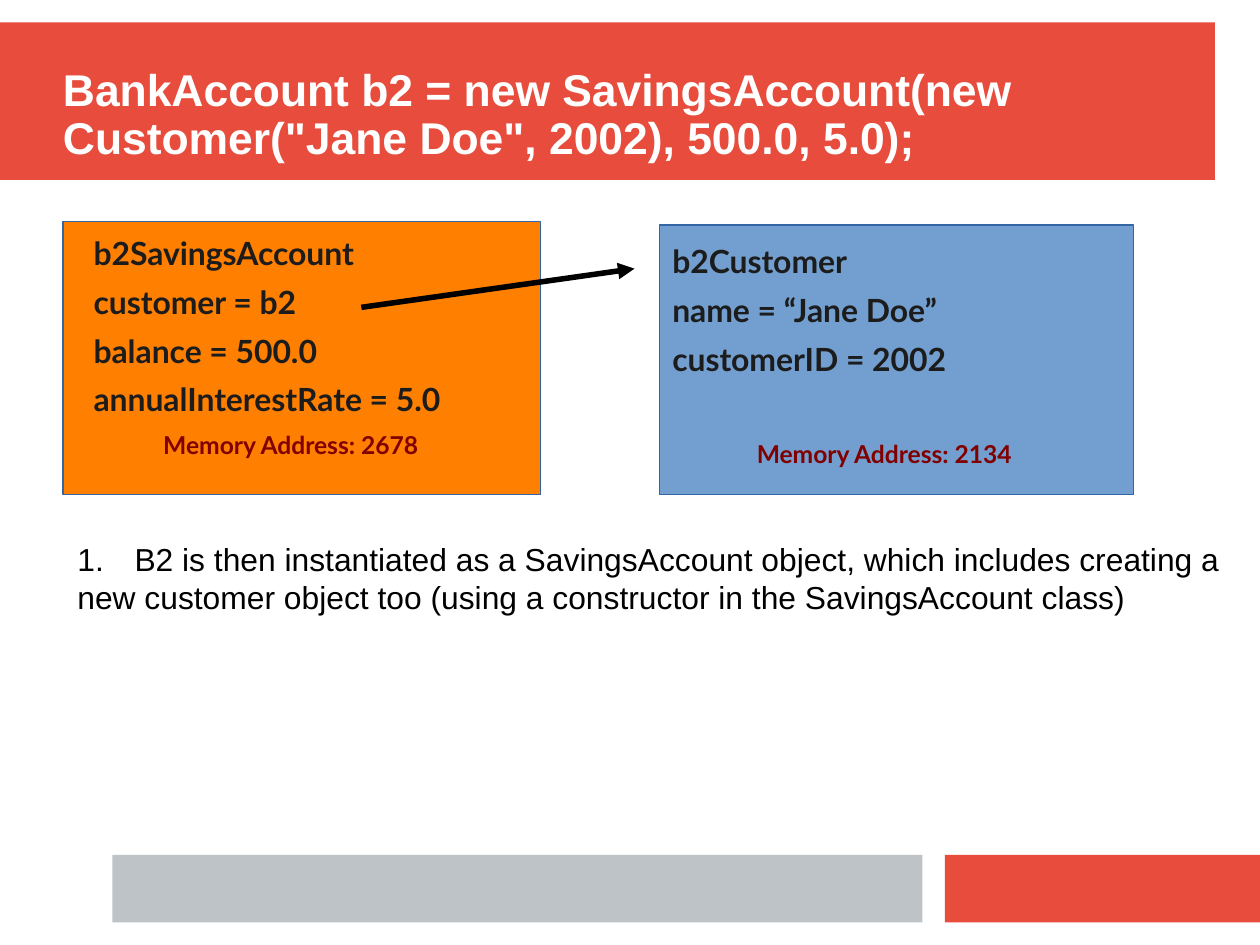
"""Build the slide that shows a savings account object pointing to its customer."""
from dataclasses import dataclass

from lxml.etree import SubElement
from pptx import Presentation
from pptx.dml.color import RGBColor
from pptx.enum.shapes import MSO_CONNECTOR, MSO_SHAPE
from pptx.enum.text import MSO_ANCHOR, PP_ALIGN
from pptx.oxml.ns import qn
from pptx.slide import Slide
from pptx.text.text import TextFrame, _Paragraph
from pptx.util import Cm, Pt

RED, GREY, EDGE = "E74C3C", "BDC3C7", "3465A4"
FIELD_SPACING = 11.4
EMPTY_ROW = 30.8


@dataclass(frozen=True)
class Box:
    """Position and size in centimetres."""

    left: float
    top: float
    width: float
    height: float

    def lengths(self) -> tuple[Cm, Cm, Cm, Cm]:
        """Return the four lengths that python-pptx expects."""
        return Cm(self.left), Cm(self.top), Cm(self.width), Cm(self.height)


@dataclass(frozen=True)
class Style:
    """Look of one run of text."""

    font: str
    size: float
    color: str
    bold: bool = False


@dataclass(frozen=True)
class ObjectCard:
    """Object in memory with its fields and address."""

    frame: Box
    text: Box
    fill: str
    fields: tuple[str, ...]
    address: int
    address_gap: float = 0


TITLE = Style("Arial", 28, "FFFFFF", True)
FIELD = Style("Lato", 20.1, "1C1C1C", True)
ADDRESS = Style("Lato", 15.5, "800000", True)
BODY = Style("Arial", 20, "000000")

BARS = (
    (Box(0, 0.5, 27, 3.5), RED),
    (Box(21, 19, 7, 1.5), RED),
    (Box(2.5, 19, 18, 1.5), GREY),
)
CARDS = (
    ObjectCard(
        Box(14.66, 5, 10.54, 6), Box(14.94, 5.54, 9.42, 5.08), "729FCF",
        ("b2Customer", "name = “Jane Doe”", "customerID = 2002"), 2134, EMPTY_ROW,
    ),
    ObjectCard(
        Box(1.4, 4.93, 10.62, 6.07), Box(2.08, 5.36, 8.76, 5.23), "FF7F00",
        ("b2SavingsAccount", "customer = b2", "balance = 500.0", "annualInterestRate = 5.0"), 2678,
    ),
)
EXPLANATION = (
    "B2 is then instantiated as a SavingsAccount object, which includes creating a",
    "new customer object too (using a constructor in the SavingsAccount class)",
)


def color(value: str) -> RGBColor:
    """Turn a hex string into a colour."""
    return RGBColor.from_string(value)


def add_rectangle(slide: Slide, box: Box, fill: str, edge: str | None = None) -> None:
    """Draw a flat rectangle, outlined when an edge colour is given."""
    shape = slide.shapes.add_shape(MSO_SHAPE.RECTANGLE, *box.lengths())
    shape.shadow.inherit = False
    shape.fill.solid()
    shape.fill.fore_color.rgb = color(fill)
    if edge is None:
        shape.line.fill.background()
    else:
        shape.line.color.rgb = color(edge)
        shape.line.width = Pt(0.75)


def add_text_frame(slide: Slide, box: Box, margin: float | None = 0) -> TextFrame:
    """Add a wrapping text box, with default margins when margin is None."""
    frame = slide.shapes.add_textbox(*box.lengths()).text_frame
    frame.word_wrap = True
    if margin is not None:
        frame.margin_left = frame.margin_right = Cm(margin)
        frame.margin_top = frame.margin_bottom = Cm(margin)
    return frame


def add_run(paragraph: _Paragraph, text: str, style: Style) -> None:
    """Append one styled run."""
    run = paragraph.add_run()
    run.text = text
    run.font.name = style.font
    run.font.size = Pt(style.size)
    run.font.bold = style.bold
    run.font.color.rgb = color(style.color)


def next_paragraph(frame: TextFrame, index: int) -> _Paragraph:
    """Return the first paragraph for index 0, otherwise a new one."""
    return frame.add_paragraph() if index else frame.paragraphs[0]


def add_title(slide: Slide) -> None:
    """Write the statement in the top bar."""
    frame = add_text_frame(slide, Box(1.4, 0.84, 25.2, 3.5))
    frame.vertical_anchor = MSO_ANCHOR.MIDDLE
    paragraph = frame.paragraphs[0]
    paragraph.line_spacing = 0.9
    add_run(paragraph, 'BankAccount b2 = new SavingsAccount(new Customer("Jane Doe", 2002), 500.0, 5.0);', TITLE)


def add_card(slide: Slide, card: ObjectCard) -> None:
    """Draw one object with its fields and centred memory address."""
    add_rectangle(slide, card.frame, card.fill, EDGE)
    frame = add_text_frame(slide, card.text)
    rows = [(field, FIELD) for field in card.fields]
    rows.append((f"Memory Address: {card.address}", ADDRESS))
    for index, (text, style) in enumerate(rows):
        paragraph = next_paragraph(frame, index)
        paragraph.line_spacing = 0.8
        paragraph.space_after = Pt(FIELD_SPACING)
        if style is ADDRESS:
            paragraph.alignment = PP_ALIGN.CENTER
            paragraph.space_before = Pt(card.address_gap)
        add_run(paragraph, text, style)


def add_reference_arrow(slide: Slide) -> None:
    """Draw the arrow from the customer field to the customer object."""
    arrow = slide.shapes.add_connector(MSO_CONNECTOR.STRAIGHT, Cm(8.03), Cm(6.83), Cm(14.1), Cm(5.97))
    arrow.line.color.rgb = color("000000")
    arrow.line.width = Pt(3.5)
    SubElement(arrow.line._get_or_add_ln(), qn("a:tailEnd"), type="triangle")
    SubElement(arrow._element.spPr, qn("a:effectLst"))


def add_explanation(slide: Slide) -> None:
    """Write the numbered explanation and its continuation."""
    frame = add_text_frame(slide, Box(1.47, 11.86, 26.11, 1.96), None)
    for index, text in enumerate(EXPLANATION):
        add_run(next_paragraph(frame, index), text, BODY)
    properties = frame.paragraphs[0]._p.get_or_add_pPr()
    indent = Cm(1.27)
    properties.set("marL", str(indent))
    properties.set("indent", str(-indent))
    SubElement(properties, qn("a:buAutoNum"), type="arabicPeriod")


def main() -> None:
    """Create and save the presentation."""
    presentation = Presentation()
    presentation.slide_width, presentation.slide_height = Cm(28), Cm(21)
    slide = presentation.slides.add_slide(presentation.slide_layouts[6])
    for box, fill in BARS:
        add_rectangle(slide, box, fill)
    add_title(slide)
    for card in CARDS:
        add_card(slide, card)
    add_reference_arrow(slide)
    add_explanation(slide)
    presentation.save("out.pptx")


main()
